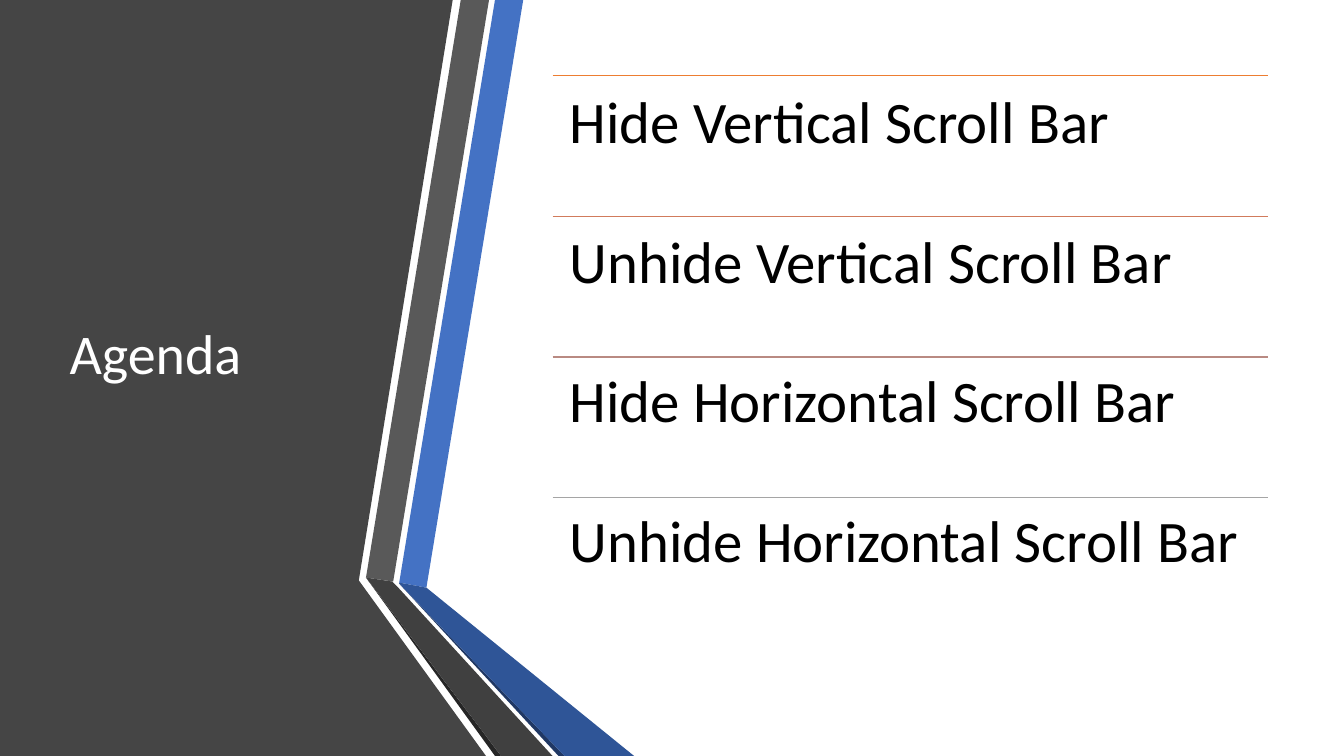
import lxml.etree
import pptx
import pptx.dml.color
import pptx.enum.shapes
import pptx.enum.text
import pptx.oxml.ns
import pptx.util

Inches = pptx.util.Inches
Pt = pptx.util.Pt

THEME = {
    "font": "Calibri",
    "title": 40,
    "list": 42,
    "white": "FFFFFF",
    "black": "000000",
    "panel": "454545",
    "blue": "4472C4",
    "navy": "203864",
    "deep": "2F5597",
    "gray": "595959",
    "coal": "262626",
    "slate": "404040",
    "rules": ["ED7D31", "D17B5C", "B98A82", "A5A5A5"],
}


def paint(color, tone):
    color.rgb = pptx.dml.color.RGBColor.from_string(tone)


def write(para, text, size, tone):
    para.alignment = pptx.enum.text.PP_ALIGN.LEFT
    para.line_spacing = 0.9
    run = para.add_run()
    run.text = text
    run.font.name = THEME["font"]
    run.font.size = Pt(THEME[size])
    paint(run.font.color, THEME[tone])


deck = pptx.Presentation()
deck.slide_width = Inches(13.33)
deck.slide_height = Inches(7.5)
slide = deck.slides.add_slide(deck.slide_layouts[1])
shapes = slide.shapes
title = shapes.title
body = slide.placeholders[1]

bands = [
    ("panel", [(0, 0), (4.49, 0), (3.56, 5.75), (3.56, 5.76), (4.82, 7.5), (0, 7.5)]),
    ("blue", [(3.96, 5.78), (4.23, 5.83), (5.19, 0), (4.91, 0)]),
    ("gray", [(4.85, 0), (4.57, 0), (3.63, 5.73), (3.9, 5.77)]),
    ("coal", [(3.63, 5.73), (4.91, 7.5), (4.97, 7.5)]),
    ("navy", [(3.96, 5.79), (5.54, 7.5), (5.6, 7.5)]),
    ("deep", [(3.96, 5.79), (5.6, 7.5), (6.29, 7.5), (4.23, 5.83), (3.96, 5.78)]),
    ("slate", [(5.48, 7.5), (3.95, 5.83), (3.89, 5.77), (3.63, 5.73), (4.97, 7.5)]),
]
for tone, points in bands:
    start, *rest = [(Inches(x), Inches(y)) for x, y in points]
    pen = shapes.build_freeform(*start)
    pen.add_line_segments(rest)
    band = pen.convert_to_shape()
    band.shadow.inherit = False
    band.fill.solid()
    paint(band.fill.fore_color, THEME[tone])
    band.line.fill.background()

left, top, width, pitch = 5.48, 0.75, 7.1, 1.395
for row, tone in enumerate(THEME["rules"]):
    y = Inches(top + row * pitch)
    rule = shapes.add_connector(
        pptx.enum.shapes.MSO_CONNECTOR.STRAIGHT,
        Inches(left), y, Inches(left + width), y)
    rule.line.width = Pt(1)
    paint(rule.line.color, tone)
    lxml.etree.SubElement(rule.element.spPr, pptx.oxml.ns.qn("a:effectLst"))

title.left, title.top = Inches(0.59), Inches(top)
title.width, title.height = Inches(3.04), Inches(4 * pitch)
title.text_frame.auto_size = pptx.enum.text.MSO_AUTO_SIZE.NONE
title.text_frame.vertical_anchor = pptx.enum.text.MSO_ANCHOR.MIDDLE
write(title.text_frame.paragraphs[0], "Agenda", "title", "white")

body.left, body.top = Inches(left), Inches(top)
body.width, body.height = Inches(width), Inches(4 * pitch)
frame = body.text_frame
frame.auto_size = pptx.enum.text.MSO_AUTO_SIZE.NONE
frame.vertical_anchor = pptx.enum.text.MSO_ANCHOR.TOP
frame.margin_left = frame.margin_right = Inches(0.17)
frame.margin_top = frame.margin_bottom = Inches(0.17)
topics = [
    "Hide Vertical Scroll Bar",
    "Unhide Vertical Scroll Bar",
    "Hide Horizontal Scroll Bar",
    "Unhide Horizontal Scroll Bar",
]
for row, topic in enumerate(topics):
    para = frame.add_paragraph() if row else frame.paragraphs[0]
    props = para._p.get_or_add_pPr()
    props.set("marL", "0")
    props.set("indent", "0")
    lxml.etree.SubElement(props, pptx.oxml.ns.qn("a:buNone"))
    para.space_before = Pt(54.3 if row else 0)
    write(para, topic, "list", "black")

for holder in (title, body):
    shapes.element.append(holder.element)

deck.save("out.pptx")
